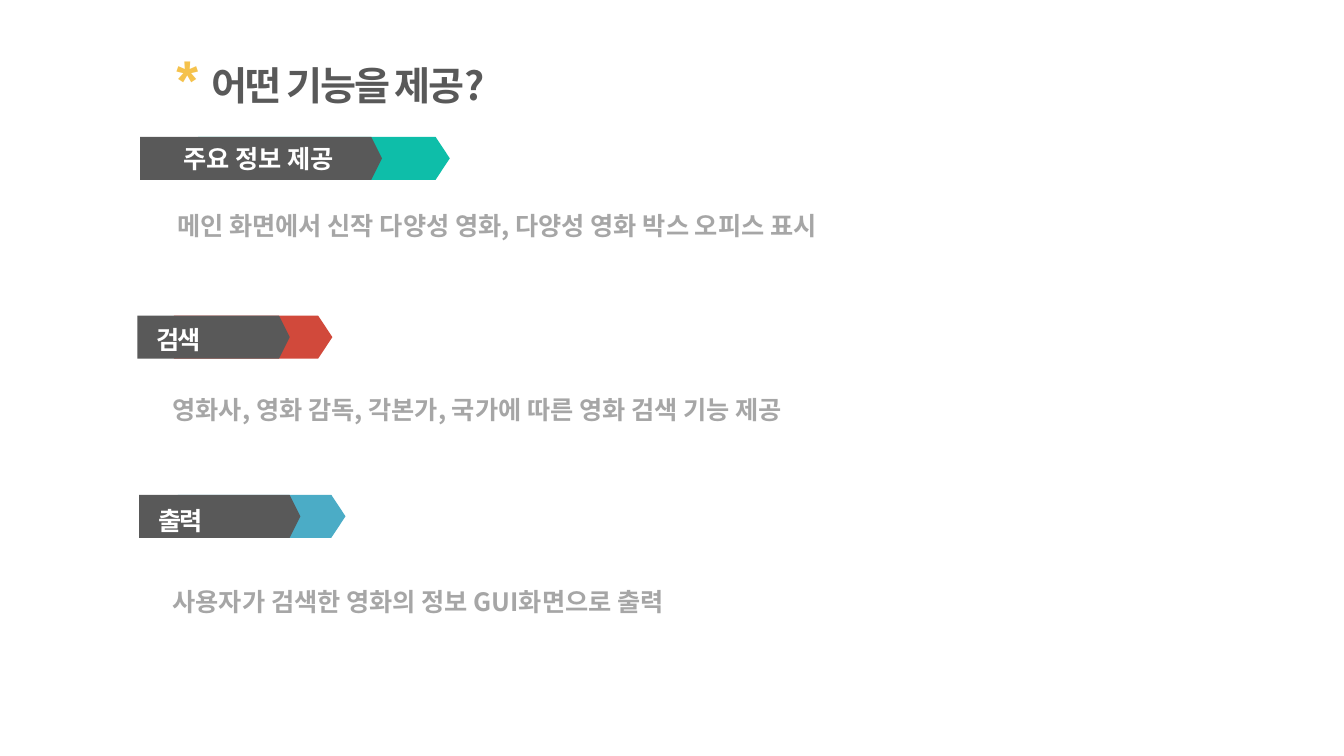
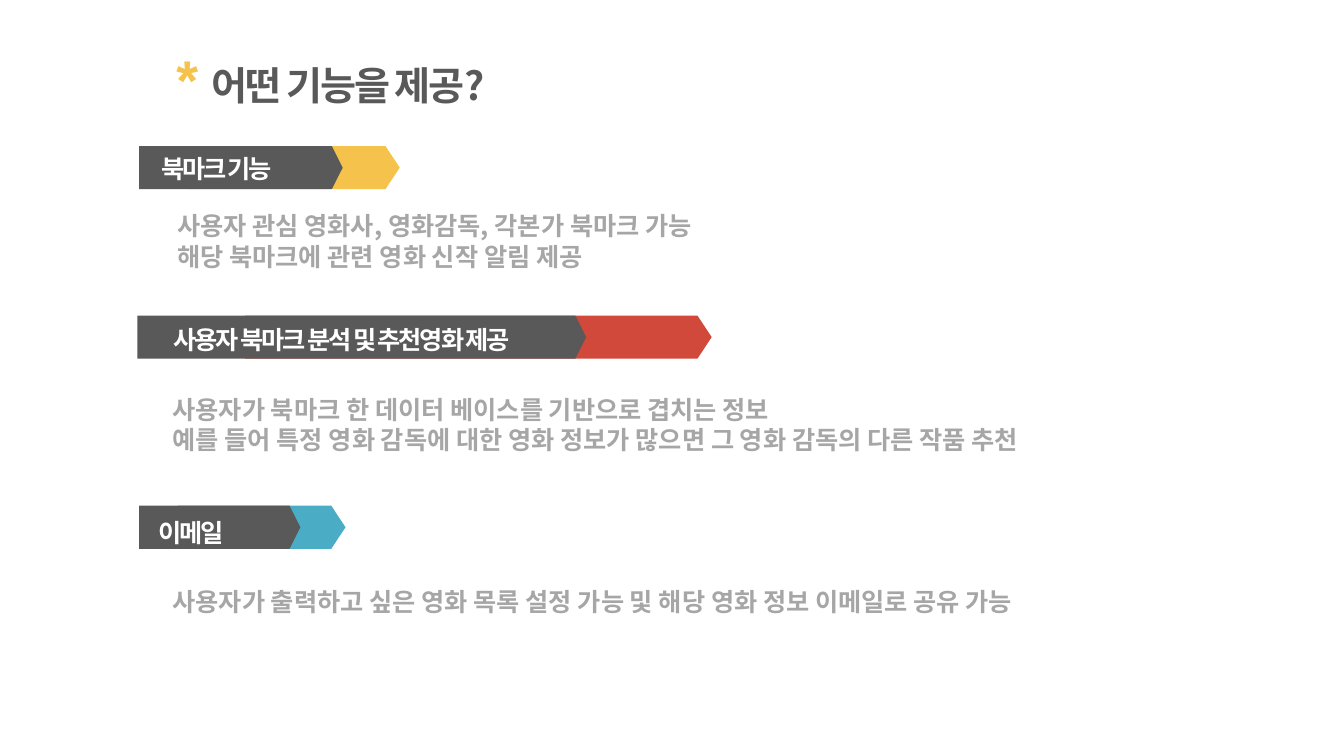
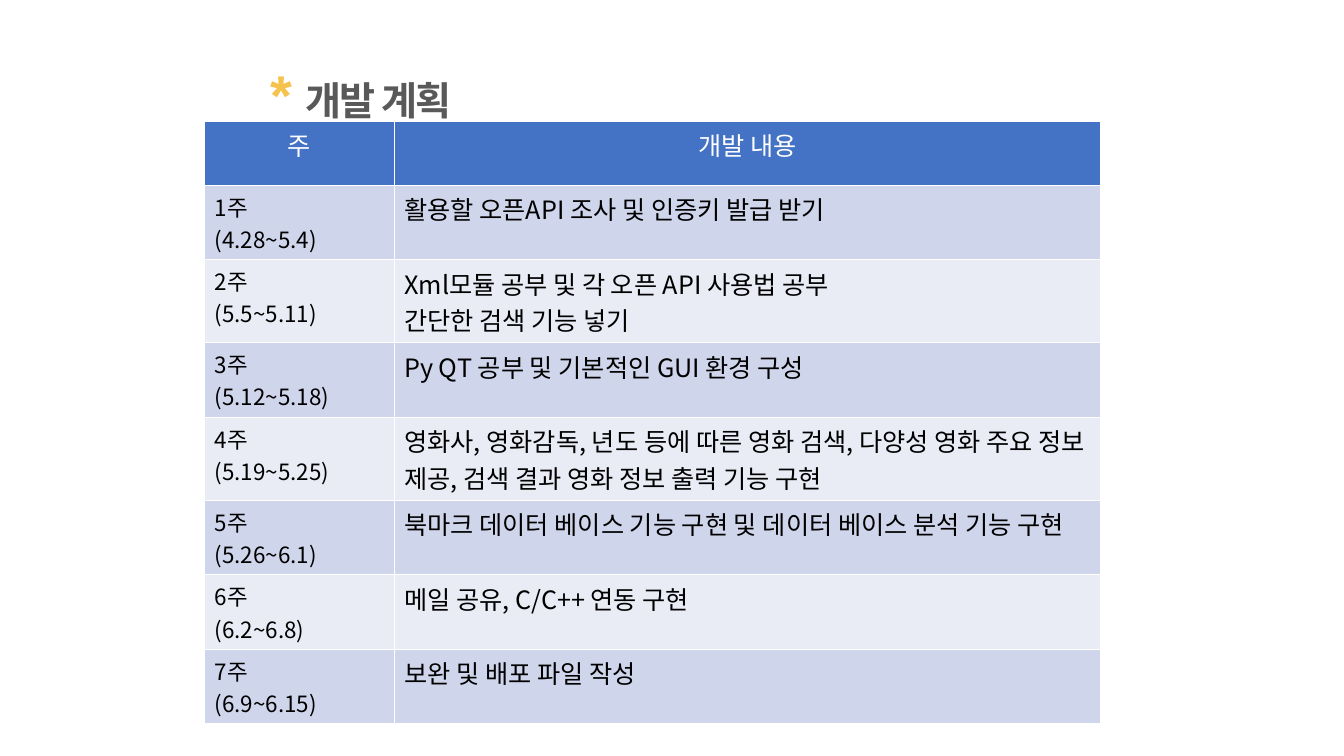
import pptx
import pptx.dml.color
import pptx.enum.shapes
import pptx.enum.text
import pptx.oxml.ns
import pptx.util
import lxml.etree

deck = pptx.Presentation()
deck.slide_width = pptx.util.Inches(13.33)
deck.slide_height = pptx.util.Inches(7.5)

# Shared grid (100 columns by 100 rows), colours and fonts
COL, ROW = deck.slide_width / 100, deck.slide_height / 100
DARK, GREY, WHITE, BLACK = "595959", "A6A6A6", "FFFFFF", "000000"
TEAL, RED, BLUE, YELLOW = "0EBEA9", "D1493B", "4BACC6", "F5C24C"
HEADER, BAND_ODD, BAND_EVEN = "4472C4", "CFD5EA", "E9EBF5"
ARIAL, NOTO = "Arial", "Noto Sans CJK KR"
RIBBON_HEIGHT = 5.7
TIGHT = -150
MIDDLE = pptx.enum.text.MSO_ANCHOR.MIDDLE
CENTER = pptx.enum.text.PP_ALIGN.CENTER
PENTAGON = pptx.enum.shapes.MSO_SHAPE.PENTAGON


def rgb(value):
    return pptx.dml.color.RGBColor.from_string(value)


def write(paragraph, text, size, face, color, bold=True, spacing=0):
    """Add one unkerned run with the same face for Latin and Korean letters."""
    run = paragraph.add_run()
    run.text = text
    run.font.size = pptx.util.Pt(size)
    run.font.name = face
    run.font.bold = bold
    run.font.color.rgb = rgb(color)
    properties = run._r.get_or_add_rPr()
    properties.set("kern", "0")
    if spacing:
        properties.set("spc", str(spacing))
    lxml.etree.SubElement(properties, pptx.oxml.ns.qn("a:ea")).set("typeface", face)


# Titles: (heading, face, left, top, width)
features_title = ("어떤 기능을 제공?", NOTO, 12.38, 5.2, 50)
plan_title = ("개발 계획", ARIAL, 19.35, 7.2, 58.4)

# Ribbons: (bar left, top, bar width, tip colour, label, face, label offset or None)
# Details: (left, top, width, lines, paragraphs)
feature_slides = [
    (
        [
            (10.43, 18.1, 18, TEAL, "주요 정보 제공", NOTO, None),
            (10.23, 41.75, 11.33, RED, "검색", ARIAL, (0.65, 0.53)),
            (10.35, 65.45, 12, BLUE, "출력", ARIAL, (0.7, 0.8)),
        ],
        [
            (12.45, 27.2, 65, 1, ["메인 화면에서 신작 다양성 영화, 다양성 영화 박스 오피스 표시"]),
            (12.1, 51.47, 54.83, 1, ["영화사, 영화 감독, 각본가, 국가에 따른 영화 검색 기능 제공"]),
            (12.1, 76.93, 48.53, 1, ["사용자가 검색한 영화의 정보 GUI화면으로 출력"]),
        ],
    ),
    (
        [
            (10.35, 19.33, 15.15, YELLOW, "북마크 기능", NOTO, (0.9, 0.27)),
            (10.23, 41.75, 33.38, RED, "사용자 북마크 분석 및 추천영화 제공", NOTO, (1.95, 0.53)),
            (10.35, 66.9, 12, BLUE, "이메일", ARIAL, (0.7, 0.85)),
        ],
        [
            (12.45, 27.2, 65, 2, ["사용자 관심 영화사, 영화감독, 각본가 북마크 가능",
                                  "해당 북마크에 관련 영화 신작 알림 제공"]),
            (12.1, 51.47, 64.58, 3, ["사용자가 북마크 한 데이터 베이스를 기반으로 겹치는 정보",
                                     "예를 들어 특정 영화 감독에 대한 영화 정보가 많으면 그 영화 감독의 다른 작품 추천"]),
            (12.1, 76.93, 64.58, 2, ["사용자가 출력하고 싶은 영화 목록 설정 가능 및 해당 영화 정보 이메일로 공유 가능"]),
        ],
    ),
]

# Every slide opens with a starred title
slides = []
for heading, face, left, top, width in [features_title, features_title, plan_title]:
    slide = deck.slides.add_slide(deck.slide_layouts[6])
    slides.append(slide)
    title = slide.shapes.add_textbox(
        int(left * COL), int(top * ROW), int(width * COL), int(8.8 * ROW)).text_frame
    title.word_wrap = True
    title.paragraphs[0].space_before = pptx.util.Pt(3.6)
    write(title.paragraphs[0], "* ", 40, ARIAL, YELLOW, spacing=TIGHT)
    write(title.paragraphs[0], heading, 28, face, DARK, spacing=TIGHT)

# Feature slides
for slide, (ribbons, details) in zip(slides, feature_slides):
    for left, top, width, tip_color, label, face, offset in ribbons:
        # The coloured tip starts under the bar and reaches past its end
        for x, w, color, point in [(left + 0.24 * width, 1.04 * width, tip_color, 0.33),
                                   (left, width, DARK, 0.25)]:
            bar = slide.shapes.add_shape(
                PENTAGON, int(x * COL), int(top * ROW), int(w * COL), int(RIBBON_HEIGHT * ROW))
            bar.adjustments[0] = point
            bar.shadow.inherit = False
            bar.fill.solid()
            bar.fill.fore_color.rgb = rgb(color)
            bar.line.fill.background()

        if offset is None:
            caption = bar.text_frame
            caption.vertical_anchor = MIDDLE
            caption.paragraphs[0].alignment = CENTER
        else:
            caption = slide.shapes.add_textbox(
                int((left + offset[0]) * COL), int((top + offset[1]) * ROW),
                int((width + 5) * COL), int(RIBBON_HEIGHT * ROW)).text_frame
            caption.paragraphs[0].space_before = pptx.util.Pt(1.5)
        caption.word_wrap = True
        write(caption.paragraphs[0], label, 18, face, WHITE, spacing=TIGHT if offset else 0)

    for left, top, width, lines, paragraphs in details:
        detail = slide.shapes.add_textbox(
            int(left * COL), int(top * ROW), int(width * COL),
            int((1.33 + 4.05 * lines) * ROW)).text_frame
        detail.word_wrap = True
        for index, text in enumerate(paragraphs):
            paragraph = detail.add_paragraph() if index else detail.paragraphs[0]
            write(paragraph, text, 18, NOTO, GREY)

# Development plan: one row a week, with its height
plan = [
    (8.45, ["주"], ["개발 내용"]),
    (9.87, ["1주", "(4.28~5.4)"], ["활용할 오픈API 조사 및 인증키 발급 받기"]),
    (10.97, ["2주", "(5.5~5.11)"], ["Xml모듈 공부 및 각 오픈 API 사용법 공부", "간단한 검색 기능 넣기"]),
    (9.87, ["3주", "(5.12~5.18)"], ["Py QT 공부 및 기본적인 GUI 환경 구성"]),
    (10.97, ["4주", "(5.19~5.25)"],
     ["영화사, 영화감독, 년도 등에 따른 영화 검색, 다양성 영화 주요 정보 제공, 검색 결과 영화 정보 출력 기능 구현"]),
    (9.87, ["5주", "(5.26~6.1)"], ["북마크 데이터 베이스 기능 구현 및 데이터 베이스 분석 기능 구현"]),
    (9.87, ["6주", "(6.2~6.8)"], ["메일 공유, C/C++ 연동 구현"]),
    (9.87, ["7주", "(6.9~6.15)"], ["보완 및 배포 파일 작성"]),
]
schedule = slides[2].shapes.add_table(
    len(plan), 2, int(15.23 * COL), int(16.05 * ROW), int(66.65 * COL),
    int(sum(week[0] for week in plan) * ROW)).table
schedule.columns[0].width = int(14.1 * COL)
schedule.columns[1].width = int(52.55 * COL)

for row, (height, *week) in enumerate(plan):
    schedule.rows[row].height = int(height * ROW)
    band = HEADER if row == 0 else BAND_ODD if row % 2 else BAND_EVEN
    for column, paragraphs in enumerate(week):
        cell = schedule.cell(row, column)
        for index, text in enumerate(paragraphs):
            paragraph = cell.text_frame.add_paragraph() if index else cell.text_frame.paragraphs[0]
            if row == 0:
                paragraph.alignment = CENTER
            write(paragraph, text, 16 if row and column == 0 else 18, NOTO,
                  BLACK if row else WHITE, bold=False)
        # White borders come before the fill in the cell's properties
        properties = cell._tc.get_or_add_tcPr()
        for side in ("a:lnL", "a:lnR", "a:lnT", "a:lnB"):
            border = lxml.etree.SubElement(properties, pptx.oxml.ns.qn(side), w="12700")
            paint = lxml.etree.SubElement(border, pptx.oxml.ns.qn("a:solidFill"))
            lxml.etree.SubElement(paint, pptx.oxml.ns.qn("a:srgbClr"), val=WHITE)
        cell.fill.solid()
        cell.fill.fore_color.rgb = rgb(band)

deck.save("out.pptx")
